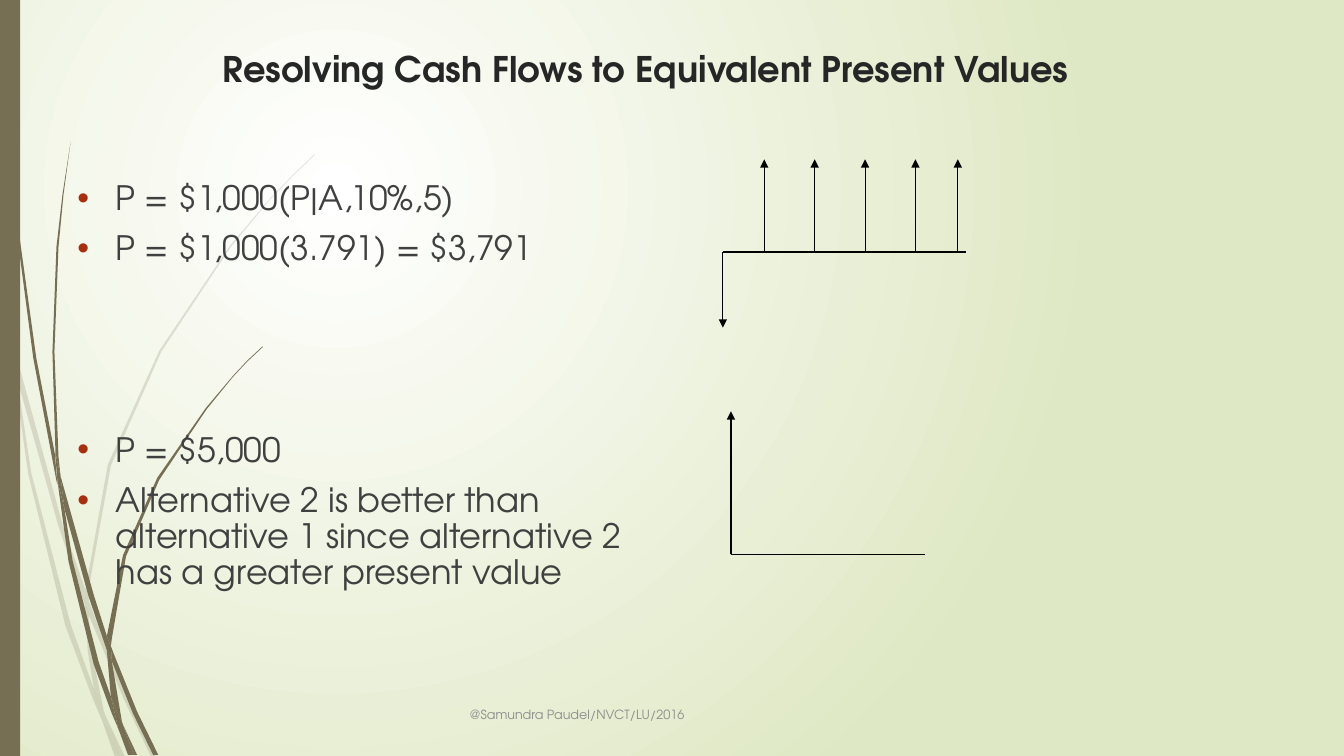
from lxml.etree import SubElement
from pptx import Presentation
from pptx.dml.color import RGBColor
from pptx.enum.shapes import MSO_CONNECTOR, MSO_SHAPE
from pptx.enum.text import MSO_ANCHOR, MSO_AUTO_SIZE, PP_ALIGN
from pptx.oxml.ns import qn
from pptx.util import Pt

PX = 9144  # 100 px to the inch
SLIDE_BOX = (0, 0, 1333, 750)
FONT = "TeX Gyre Adventor"
COLORS = {
    "centre": "FFFFFF", "edge": "DFE8C4", "stem": "766F54", "title": "262626",
    "body": "404040", "bullet": "A53010", "footer": "8C8C8C", "axis": "000000",
}
TITLE_FORMAT = {"size": Pt(25.2), "bold": True, "name": FONT}
BODY_FORMAT = {"size": Pt(24), "name": FONT}
FOOTER_FORMAT = {"size": Pt(9), "name": FONT}
LINE_GAP, BLOCK_GAP = 10, 118  # points before a paragraph
STATEMENTS = [
    ("P = $1,000(P|A,10%,5)", LINE_GAP),
    ("P = $1,000(3.791) = $3,791", LINE_GAP),
    ("P = $5,000", BLOCK_GAP),
    ("Alternative 2 is better than alternative 1 since alternative 2 "
     "has a greater present value", LINE_GAP),
]

# Corner points of each piece of a stem, in px.
PALE_STEMS = [
    "11,350 9,322 0,282 0,299 10,344",
    "58,522 84,599 85,586 62,520 14,345 17,376",
    "92,607 88,596 88,610 123,694 150,751 155,751 127,692",
    "119,751 124,751 105,711",
    "93,683 70,619 31,469 17,376 11,350 28,470 65,621 92,693 101,714 99,707",
    "84,599 87,646 93,683 96,692 105,711 103,706 91,646 88,610 88,608",
    "88,584 110,462 160,349 229,245 268,198 290,175 312,154 312,153 289,175 268,197 "
    "228,244 158,348 107,461 85,584 85,586 88,596",
    "101,714 114,751 119,751",
    "88,608 88,610 88,596 85,586 84,599",
    "96,692 93,683 99,707 101,714 119,751 105,711",
]
DARK_STEMS = [
    "7,110 17,233 33,355 56,477 57,481 55,457 55,453 36,355 19,232 8,109 5,48 4,0 3,0 4,48",
    "88,592 106,645 106,633 106,631 93,590 60,472 64,505",
    "113,649 110,641 111,656 132,708 152,749 157,749 136,706",
    "110,691 98,657 72,556 64,505 57,477 68,557 93,659 111,708 117,722 116,717",
    "60,472 58,453 54,349 58,245 63,193 70,141 62,193 56,245 52,349 55,449",
    "133,749 136,749 122,719",
    "57,477 64,505 60,472 55,449 55,453",
    "111,633 125,552 158,476 205,406 231,374 245,359 261,344 260,344 245,358 231,373 "
    "204,405 156,474 122,551 106,631 110,641",
    "117,722 127,749 131,749",
    "106,645 110,691 116,706 122,719 121,716 111,656 109,651",
    "106,645 109,651 111,656 110,641 106,631 106,633",
    "116,706 110,691 116,717 117,722 130,749 133,749 122,719",
]


def rgb(part):
    return RGBColor.from_string(COLORS[part])


def emu(box):
    return [PX * length for length in box]


def paint_background(slide):
    """Radial gradient centred a quarter of the way in from the top left."""
    fill = slide.background.fill
    fill.gradient()
    for stop, part in zip(fill.gradient_stops, ("centre", "edge")):
        stop.color.rgb = rgb(part)
    gradient = slide.element.find(".//" + qn("a:gradFill"))
    gradient.remove(gradient.find(qn("a:lin")))
    radial = SubElement(gradient, qn("a:path"), path="circle")
    SubElement(radial, qn("a:fillToRect"), l="50000", t="50000", r="100000", b="100000")


def fill_stem(shape, opacity=100):
    shape.shadow.inherit = False
    shape.fill.solid()
    shape.fill.fore_color.rgb = rgb("stem")
    shape.line.fill.background()
    if opacity < 100:
        color = shape.element.spPr.find(".//" + qn("a:srgbClr"))
        SubElement(color, qn("a:alpha"), val=str(opacity * 1000))


def draw_stems(slide, box, outlines, opacity=100):
    left, top = box[:2]
    stems = slide.shapes.add_group_shape().shapes
    for outline in outlines:
        pairs = (pair.split(",") for pair in outline.split())
        start, *corners = [(left + int(x), top + int(y)) for x, y in pairs]
        builder = stems.build_freeform(*start, scale=PX)
        builder.add_line_segments(corners, close=True)
        fill_stem(builder.convert_to_shape(), opacity)


def draw_edge_bar(slide, box):
    fill_stem(slide.shapes.add_shape(MSO_SHAPE.RECTANGLE, *emu(box)))


def write(paragraph, text, formats, part):
    paragraph.alignment = PP_ALIGN.LEFT
    run = paragraph.add_run()
    run.text = text
    for key, value in formats.items():
        setattr(run.font, key, value)
    run.font.color.rgb = rgb(part)


def set_frame(shape, anchor):
    frame = shape.text_frame
    frame.word_wrap = True
    frame.auto_size = MSO_AUTO_SIZE.NONE
    frame.vertical_anchor = anchor
    return frame


def place_title(slide, box):
    title = slide.shapes.title
    title.left, title.top, title.width, title.height = emu(box)
    frame = set_frame(title, MSO_ANCHOR.TOP)
    write(frame.paragraphs[0], "Resolving Cash Flows to Equivalent Present Values", TITLE_FORMAT, "title")


def add_statements(slide, box):
    frame = set_frame(slide.shapes.add_textbox(*emu(box)), MSO_ANCHOR.TOP)
    for index, (statement, gap) in enumerate(STATEMENTS):
        paragraph = frame.add_paragraph() if index else frame.paragraphs[0]
        write(paragraph, statement, BODY_FORMAT, "body")
        paragraph.line_spacing = 0.9
        paragraph.space_before = Pt(gap)
        properties = paragraph._p.get_or_add_pPr()
        properties.set("marL", str(38 * PX))
        properties.set("indent", str(-38 * PX))
        bullet_color = SubElement(properties, qn("a:buClr"))
        SubElement(bullet_color, qn("a:srgbClr"), val=COLORS["bullet"])
        SubElement(properties, qn("a:buFont"), typeface="Arial")
        SubElement(properties, qn("a:buChar"), char="•")


def add_footer(slide, box):
    frame = set_frame(slide.shapes.add_textbox(*emu(box)), MSO_ANCHOR.MIDDLE)
    write(frame.paragraphs[0], "@Samundra Paudel/NVCT/LU/2016", FOOTER_FORMAT, "footer")


def draw_line(slide, start, end, arrow=True):
    line = slide.shapes.add_connector(MSO_CONNECTOR.STRAIGHT, *emu(start + end))
    line.line.color.rgb = rgb("axis")
    line.line.width = Pt(0.75)
    properties = line.element.spPr
    if arrow:
        SubElement(properties.find(qn("a:ln")), qn("a:tailEnd"), type="triangle")
    SubElement(properties, qn("a:effectLst"))


def draw_cash_flow(slide, box, receipts, payment=0):
    """Time axis with arrows up at the receipt offsets and one payment down at its start."""
    left, top, width, height = box
    axis = top + height - payment
    draw_line(slide, (left, axis), (left + width, axis), arrow=False)
    if payment:
        draw_line(slide, (left, axis), (left, axis + payment))
    for offset in receipts:
        draw_line(slide, (left + offset, axis), (left + offset, top))


def main():
    deck = Presentation()
    deck.slide_width, deck.slide_height = emu(SLIDE_BOX[2:])
    slide = deck.slides.add_slide(deck.slide_layouts[5])
    paint_background(slide)
    draw_stems(slide, SLIDE_BOX, PALE_STEMS, opacity=20)
    draw_stems(slide, SLIDE_BOX, DARK_STEMS)
    draw_edge_bar(slide, (0, 0, 20, 750))
    place_title(slide, (211, 42, 900, 92))
    add_statements(slide, (67, 175, 589, 495))
    draw_cash_flow(slide, (717, 158, 241, 167), receipts=(41, 91, 141, 191, 233), payment=75)
    draw_cash_flow(slide, (725, 408, 192, 142), receipts=(0,))
    add_footer(slide, (456, 683, 422, 52))
    deck.save("out.pptx")


if __name__ == "__main__":
    main()
